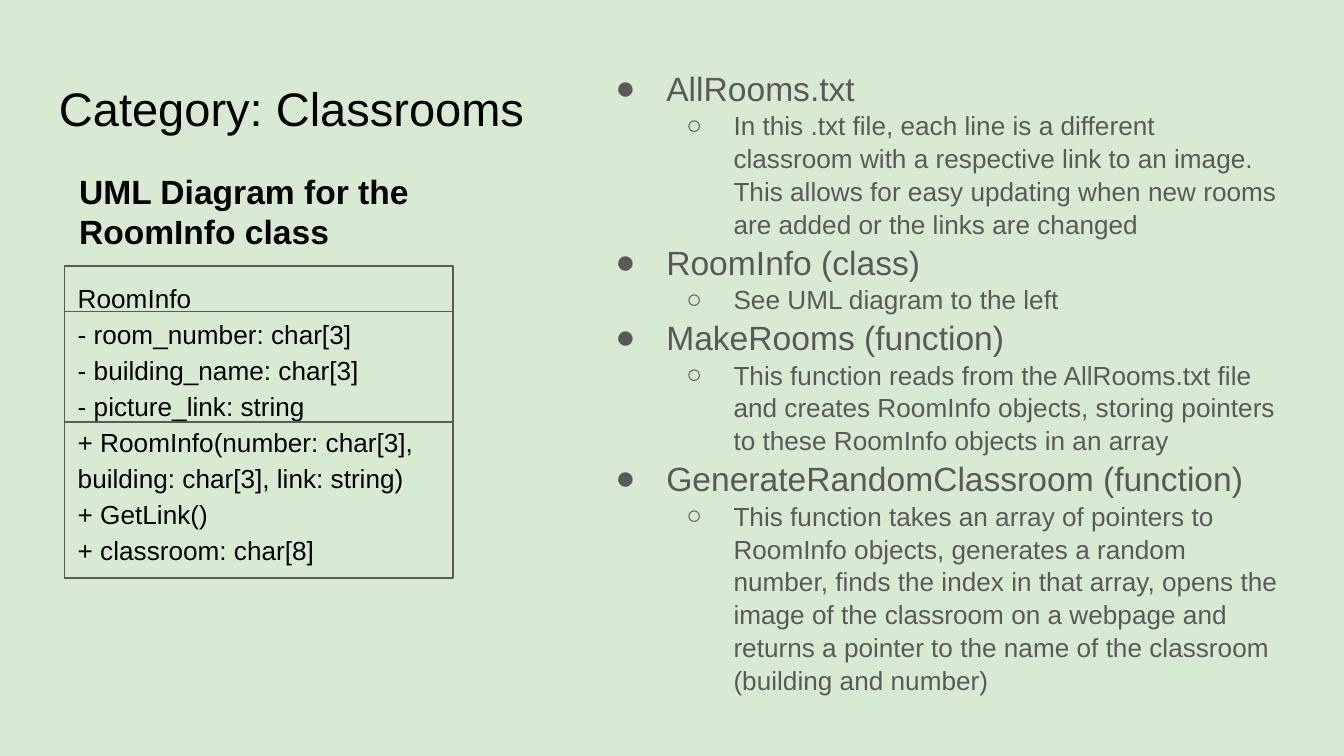
from dataclasses import dataclass

from lxml.etree import SubElement
from pptx import Presentation
from pptx.dml.color import RGBColor
from pptx.enum.shapes import MSO_CONNECTOR as CONN, MSO_SHAPE as SHAPE
from pptx.enum.text import MSO_ANCHOR as ANCHOR, PP_ALIGN as ALIGN
from pptx.oxml.ns import qn
from pptx.util import Inches, Pt

WIDTH = 10
HEIGHT = WIDTH * 9 / 16
COLS, ROWS = 100, 56.25

UML = [
    ["RoomInfo"],
    ["- room_number: char[3]", "- building_name: char[3]", "- picture_link: string"],
    ["+ RoomInfo(number: char[3], building: char[3], link: string)",
     "+ GetLink()", "+ classroom: char[8]"],
]
NOTES = {
    "AllRooms.txt":
        "In this .txt file, each line is a different classroom with a respective link "
        "to an image. This allows for easy updating when new rooms are added or the "
        "links are changed",
    "RoomInfo (class)": "See UML diagram to the left",
    "MakeRooms (function)":
        "This function reads from the AllRooms.txt file and creates RoomInfo objects, "
        "storing pointers to these RoomInfo objects in an array",
    "GenerateRandomClassroom (function)":
        "This function takes an array of pointers to RoomInfo objects, generates a "
        "random number, finds the index in that array, opens the image of the classroom "
        "on a webpage and returns a pointer to the name of the classroom (building and "
        "number)",
}


def rgb(value):
    """Turn a hex string into a colour."""
    return RGBColor.from_string(value)


def grid(col, row, *more):
    """Turn alternating grid columns and rows into slide lengths."""
    units = (WIDTH / COLS, HEIGHT / ROWS) * 2
    return [Inches(n * unit) for n, unit in zip((col, row, *more), units)]


def add_bullet(p, char, *, color, font, left, hang):
    """Give a paragraph a hanging bullet."""
    pPr = p._p.get_or_add_pPr()
    pPr.set("marL", str(Inches(left)))
    pPr.set("indent", str(-Inches(hang)))
    clr = SubElement(pPr, qn("a:buClr"))
    SubElement(clr, qn("a:srgbClr")).set("val", color)
    SubElement(pPr, qn("a:buFont")).set("typeface", font)
    SubElement(pPr, qn("a:buChar")).set("char", char)


def add_text(tf, text, *, size, color, font, bold=False, spacing=1.0, level=0):
    """Write one formatted paragraph and return it."""
    p = tf.paragraphs[0]
    if p.runs:
        p = tf.add_paragraph()
    p.alignment, p.line_spacing, p.level = ALIGN.LEFT, spacing, level
    r = p.add_run()
    r.text = text
    r.font.name, r.font.size, r.font.bold = font, Pt(size), bold
    r.font.color.rgb = rgb(color)
    return p


@dataclass
class Deck:
    """Hold the style and the current slide."""
    s: object
    font: str = "Arial"
    ink: str = "000000"
    gray: str = "595959"
    back: str = "D9EAD3"

    def background(self):
        """Fill the slide background."""
        fill = self.s.background.fill
        fill.solid()
        fill.fore_color.rgb = rgb(self.back)

    def frame(self, sp, anchor):
        """Set up the text frame of a shape."""
        tf = sp.text_frame
        tf.word_wrap, tf.vertical_anchor = True, anchor
        tf.margin_left = tf.margin_right = tf.margin_top = tf.margin_bottom = Inches(0.1)
        return tf

    def text_box(self, *at):
        """Add an empty wrapped text box and return its frame."""
        return self.frame(self.s.shapes.add_textbox(*grid(*at)), ANCHOR.TOP)

    def label(self, text, *at, size, bold=False):
        """Add a text box with one paragraph."""
        add_text(self.text_box(*at), text, size=size, bold=bold,
                 color=self.ink, font=self.font)

    def outline(self, line):
        """Apply the thin gray line style."""
        line.color.rgb, line.width = rgb(self.gray), Pt(0.75)

    def divider(self, left, right, row):
        """Draw a horizontal line between two columns."""
        c = self.s.shapes.add_connector(CONN.STRAIGHT, *grid(left, row, right, row))
        self.outline(c.line)
        SubElement(c._element.spPr, qn("a:effectLst"))

    def uml_class(self, parts, *at, dividers):
        """Draw a class box with its compartments."""
        sp = self.s.shapes.add_shape(SHAPE.RECTANGLE, *grid(*at))
        sp.shadow.inherit = False
        sp.fill.background()
        self.outline(sp.line)
        tf = self.frame(sp, ANCHOR.MIDDLE)
        for text in sum(parts, []):
            add_text(tf, text, size=14, color=self.ink, font=self.font, spacing=1.15)
        for row in dividers:
            self.divider(at[0], at[0] + at[2], row)

    def outline_list(self, notes, *at):
        """Add a two-level bulleted list."""
        tf = self.text_box(*at)
        levels = ((18, "●", 0.5, 0.38), (14, "○", 1, 0.35))
        for pair in notes.items():
            for level, (text, (size, char, left, hang)) in enumerate(zip(pair, levels)):
                p = add_text(tf, text, size=size, color=self.gray, font=self.font,
                             spacing=1.05, level=level)
                add_bullet(p, char, color=self.gray, font=self.font,
                           left=left, hang=hang)


def main():
    """Build the slide and save it."""
    prs = Presentation()
    prs.slide_width, prs.slide_height = Inches(WIDTH), Inches(HEIGHT)
    deck = Deck(prs.slides.add_slide(prs.slide_layouts[6]))
    deck.background()
    deck.label("Category: Classrooms", 3.4, 4.9, 93.2, 6.3, size=25.2)
    deck.uml_class(UML, 4.8, 19.8, 28.9, 23.2, dividers=(23.2, 31.4))
    deck.label("UML Diagram for the RoomInfo class", 4.9, 11.7, 29, 8.1,
               size=18, bold=True)
    deck.outline_list(NOTES, 43.6, 3.9, 52.6, 49)
    prs.save("out.pptx")


if __name__ == "__main__":
    main()
